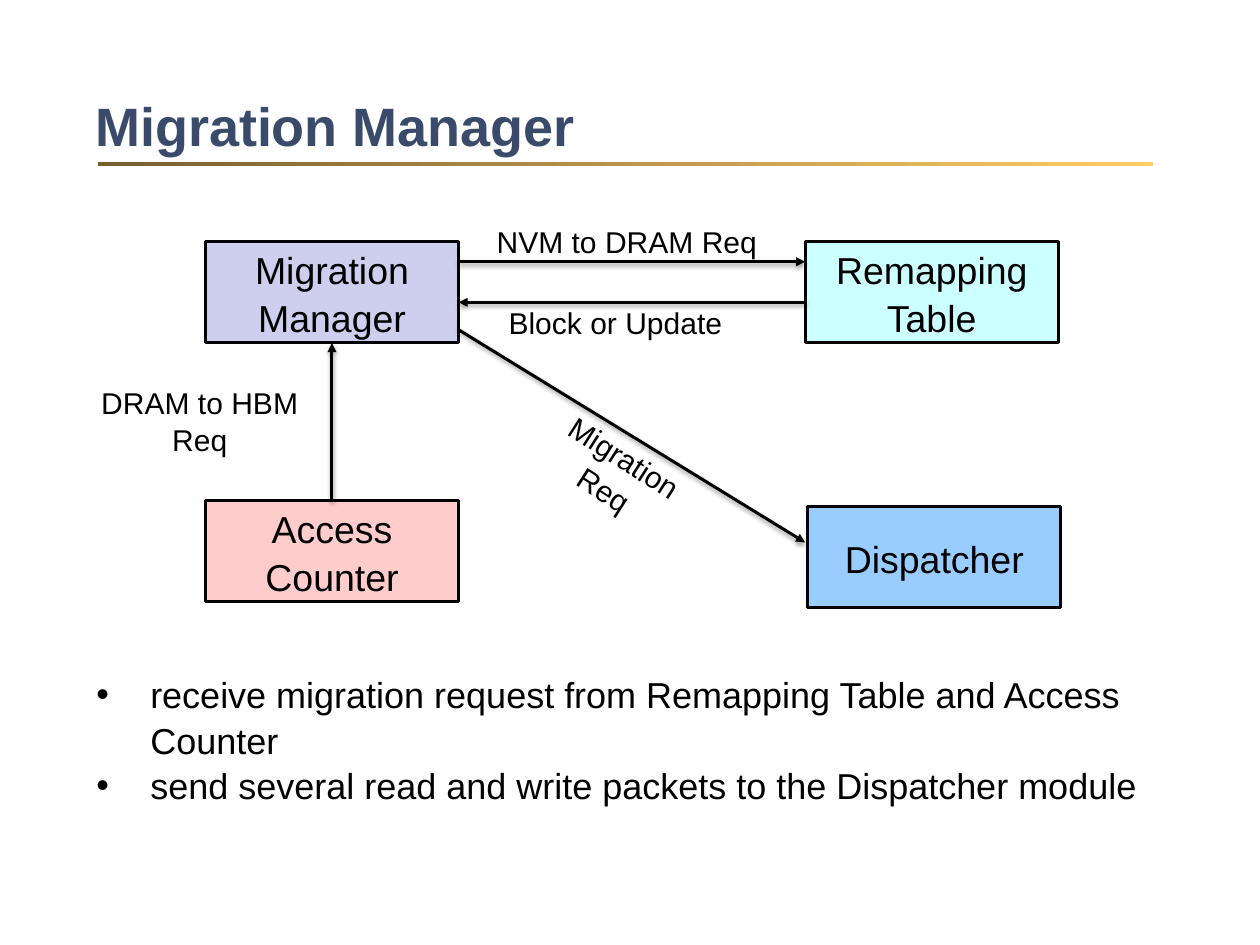
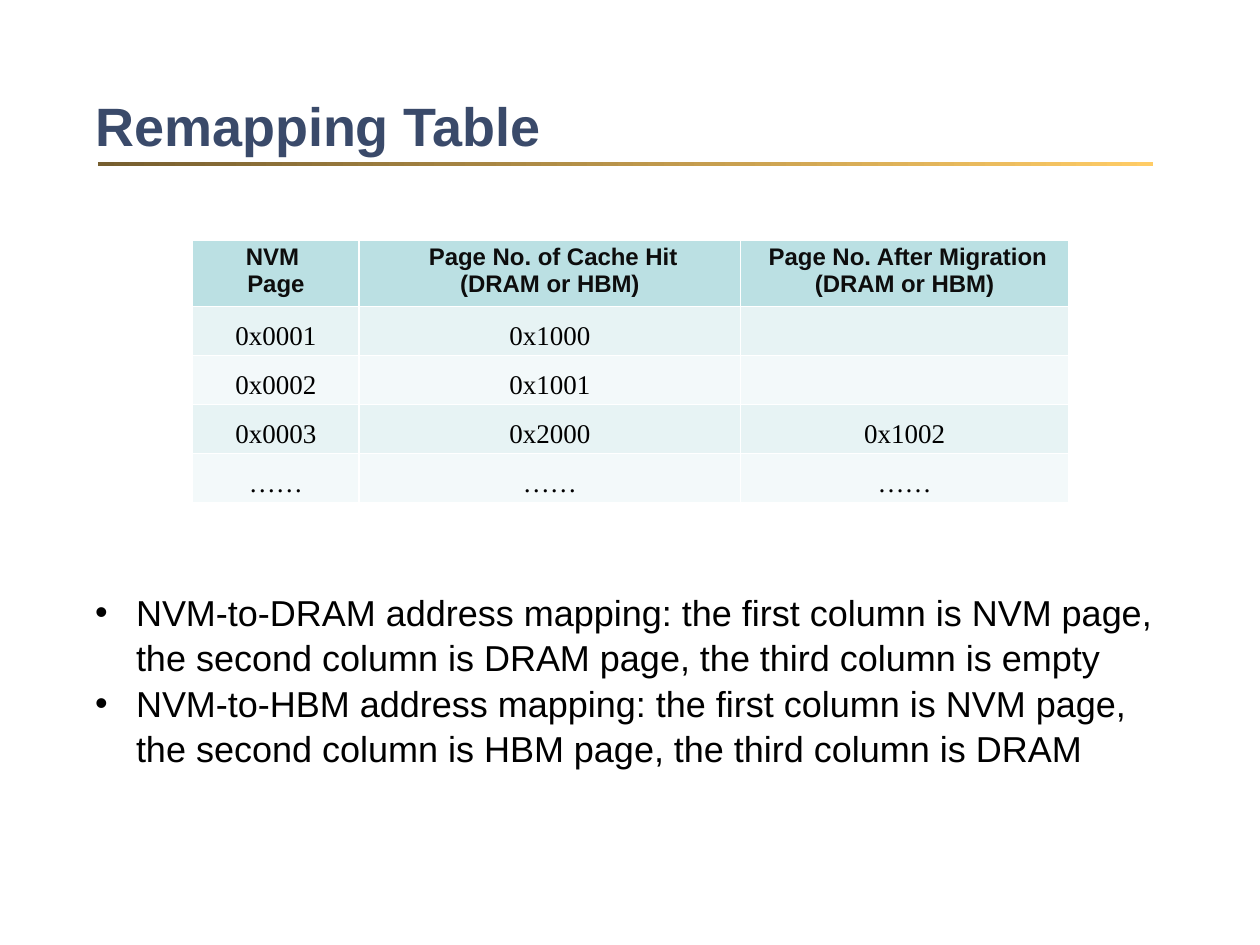
from lxml import etree
from pptx import Presentation
from pptx.dml.color import RGBColor as Rgb
from pptx.enum.shapes import MSO_CONNECTOR as Link, MSO_SHAPE as Kind
from pptx.enum.text import MSO_ANCHOR as Anchor, PP_ALIGN as Align
from pptx.oxml import parse_xml
from pptx.oxml.ns import nsdecls, qn
from pptx.util import Inches, Pt

WIDE, HIGH = Inches(11.67), Inches(8.75)
INK = "000000"
MID, LEFT = Align.CENTER, Align.LEFT

# Text looks: font values, then paragraph values
HEAD = {"name": "Arial", "size": Pt(36), "bold": True, "color": "3A4A6A"}
BODY = {"name": "Arial", "size": Pt(24), "color": INK}
NODE = {**BODY, "size": Pt(25)}
NOTE = {**BODY, "size": Pt(20)}
TOP = {"name": "Arial", "size": Pt(16), "bold": True, "color": "0D0D0D"}
CELL = {"name": "Times New Roman", "size": Pt(18), "bold": False, "color": INK}
LOOSE = 1.05

# Diagram grid, in percent of the slide
BOX_W, BOX_H = 20.1, 10.7
COL_A, COL_B = 16.3, 63.9
ROW_A, ROW_B = 25.6, 53
EDGE = COL_A + BOX_W


def tint(code):
    return Rgb.from_string(code)


def span(*marks):
    """Turn percents, across and down in turn, into lengths."""
    return [round(m * (HIGH if i % 2 else WIDE) / 100)
            for i, m in enumerate(marks)]


def apply(thing, look):
    for name, value in look.items():
        if name == "color":
            thing.color.rgb = tint(value)
        else:
            setattr(thing, name, value)


def write(frame, text, look, **para):
    """Fill a frame with one paragraph for each line of text."""
    for i, line in enumerate(text.split("\n")):
        p = frame.add_paragraph() if i else frame.paragraphs[0]
        apply(p, para)
        run = p.add_run()
        run.text = line
        apply(run.font, look)


def page(deck, text):
    """Add a slide with the shared title and gold rule."""
    slide = deck.slides.add_slide(deck.slide_layouts[5])
    rule = slide.shapes.add_shape(Kind.RECTANGLE, *span(7.8, 17.1, 83.7, 0.46))
    rule.shadow.inherit = False
    rule.line.fill.background()
    rule.fill.gradient()
    rule.fill.gradient_angle = 0
    for stop, code in zip(rule.fill.gradient_stops, ("765E2F", "FFCC66")):
        stop.color.rgb = tint(code)
    title = slide.shapes.title
    spot = span(6.7, 6.9, 88.2, 12.6)
    apply(title, dict(zip(("left", "top", "width", "height"), spot)))
    title.text_frame.vertical_anchor = Anchor.MIDDLE
    write(title.text_frame, text, HEAD, alignment=LEFT)
    return slide


def points(slide, spot, text, dent):
    """Add a bulleted list with a hanging indent in inches."""
    frame = slide.shapes.add_textbox(*span(*spot)).text_frame
    frame.word_wrap = True
    write(frame, text, BODY, line_spacing=LOOSE)
    for p in frame.paragraphs:
        props = p._p.get_or_add_pPr()
        props.set("marL", str(Inches(dent)))
        props.set("indent", str(-Inches(dent)))
        etree.SubElement(props, qn("a:buFont")).set("typeface", "Arial")
        etree.SubElement(props, qn("a:buChar")).set("char", "•")


def node(slide, x, y, text, fill):
    box = slide.shapes.add_shape(Kind.RECTANGLE, *span(x, y, BOX_W, BOX_H))
    box.shadow.inherit = False
    box.fill.solid()
    box.fill.fore_color.rgb = tint(fill)
    apply(box.line, {"color": INK, "width": Pt(2)})
    box.text_frame.vertical_anchor = Anchor.MIDDLE
    write(box.text_frame, text, NODE, alignment=MID, line_spacing=LOOSE)


def label(slide, spot, text, turn=0):
    box = slide.shapes.add_textbox(*span(*spot))
    box.rotation = turn
    box.text_frame.word_wrap = False
    write(box.text_frame, text, NOTE, alignment=MID, line_spacing=LOOSE)


def arrow(slide, *ends):
    """Draw an arrow with a soft shadow below it."""
    link = slide.shapes.add_connector(Link.STRAIGHT, *span(*ends))
    apply(link.line, {"color": INK, "width": Pt(2)})
    tip = etree.SubElement(link.line._get_or_add_ln(), qn("a:tailEnd"))
    tip.set("type", "triangle")
    link._element.spPr.append(parse_xml(
        f'<a:effectLst {nsdecls("a")}><a:outerShdw blurRad="{Pt(3.1)}" '
        f'dist="{Pt(1.6)}" dir="5400000" rotWithShape="0">'
        f'<a:srgbClr val="{INK}"><a:alpha val="38000"/></a:srgbClr>'
        '</a:outerShdw></a:effectLst>'))


def grid(slide, x, y, cols, rows, data):
    """Add a table with a tinted head row and banded body rows."""
    spot = span(x, y, sum(cols), sum(rows))
    table = slide.shapes.add_table(len(rows), len(cols), *spot).table
    for col, share in zip(table.columns, cols):
        col.width = span(share)[0]
    for r, (row, share) in enumerate(zip(table.rows, rows)):
        row.height = span(0, share)[1]
        fill = ("E7F3F4" if r % 2 else "F3F9FA") if r else "BBE0E3"
        look, gap, side, rim = (CELL, 1.5, 0.07, 0) if r else (TOP, 1, 0.09, 0.04)
        for cell, text in zip(row.cells, data[r]):
            cell.fill.solid()
            cell.fill.fore_color.rgb = tint(fill)
            apply(cell, {"margin_left": Inches(side), "margin_right": Inches(side),
                         "margin_top": Inches(rim), "margin_bottom": Inches(rim)})
            if text:
                write(cell.text_frame, text, look, alignment=MID, line_spacing=gap)


def manager(deck):
    slide = page(deck, "Migration Manager")
    points(slide, (6.8, 70.4, 88.1, 15),
           "receive migration request from Remapping Table and Access Counter\n"
           "send several read and write packets to the Dispatcher module", 0.5)
    for item in (
        (COL_B, ROW_A, "Remapping Table", "CCFFFF"),
        (COL_B + 0.2, ROW_B + 0.6, "Dispatcher", "99CCFF"),
        (COL_A, ROW_A, "Migration\nManager", "CECEEF"),
        (COL_A, ROW_B, "Access Counter", "FFCCCC"),
    ):
        node(slide, *item)
    core = COL_A + BOX_W / 2
    for ends in (
        (core, ROW_B, core, ROW_A + BOX_H),
        (EDGE, 34.9, COL_B, 57.4),
        (EDGE, 27.7, COL_B, 27.7),
        (COL_B, 32, EDGE, 32),
    ):
        arrow(slide, *ends)
    for item in (
        ((7.1, 39.9, 17.5, 8.8), "DRAM to HBM\nReq"),
        ((43, 45.5, 11.7, 8.8), "Migration\nReq", 32.8),
        ((38.5, 22.9, 22.5, 5), "NVM to DRAM Req"),
        ((39.4, 31.5, 18.9, 5), "Block or Update"),
    ):
        label(slide, *item)


def remap(deck):
    slide = page(deck, "Remapping Table")
    points(slide, (6.7, 61.7, 88.1, 19.7),
           "NVM-to-DRAM address mapping: the first column is NVM page, "
           "the second column is DRAM page, the third column is empty\n"
           "NVM-to-HBM address mapping: the first column is NVM page, "
           "the second column is HBM page, the third column is DRAM", 0.38)
    grid(slide, 15.3, 25.4, (13.2, 30.3, 26), (7, *[5.2] * 4), (
        ("NVM \nPage", " Page No. of Cache Hit\n(DRAM or HBM)",
         " Page No. After Migration\n(DRAM or HBM)"),
        ("0x0001", "0x1000", ""),
        ("0x0002", "0x1001", ""),
        ("0x0003", "0x2000", "0x1002"),
        ("……",) * 3,
    ))


def main():
    deck = Presentation()
    apply(deck, {"slide_width": WIDE, "slide_height": HIGH})
    manager(deck)
    remap(deck)
    deck.save("out.pptx")


if __name__ == "__main__":
    main()
